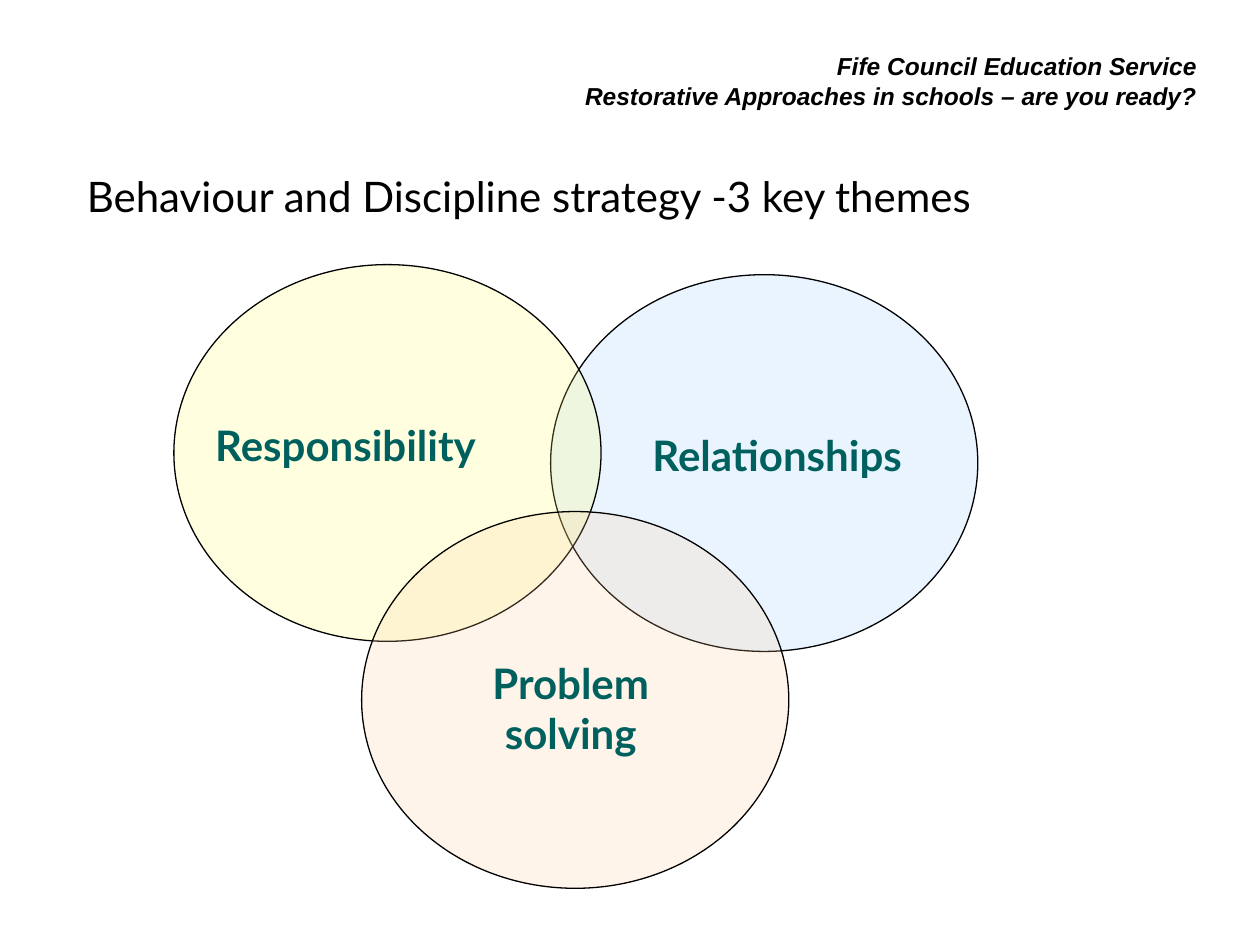
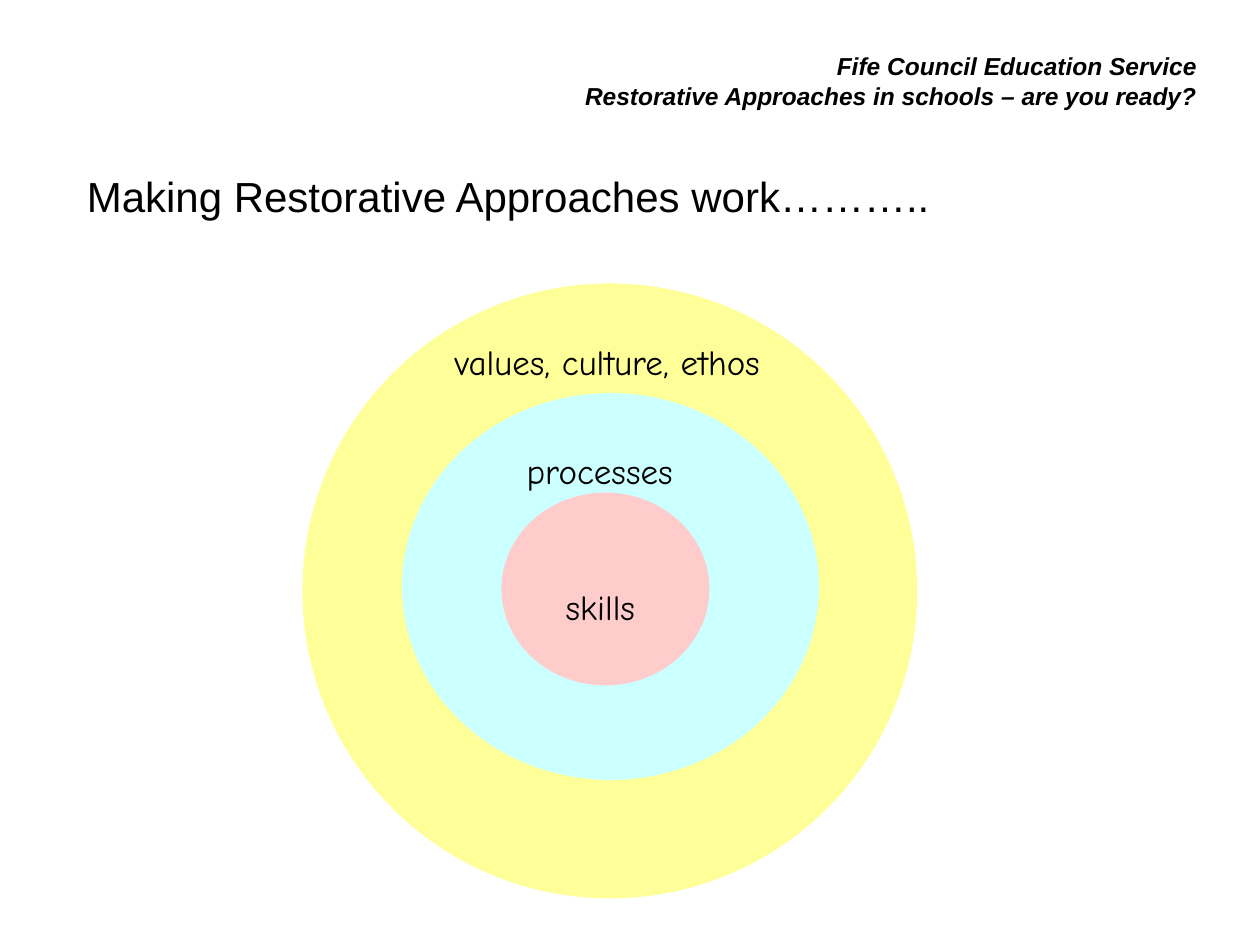
from lxml import etree
from pptx import Presentation
from pptx.dml.color import RGBColor
from pptx.enum.shapes import MSO_SHAPE as Shape
from pptx.enum.text import MSO_ANCHOR as Anchor, PP_ALIGN as Align
from pptx.oxml.ns import qn
from pptx.util import Inches, Pt

BLACK = RGBColor(0x00, 0x00, 0x00)
TEAL = RGBColor(0x00, 0x60, 0x5E)
SKY = RGBColor(0x99, 0xCC, 0xFF)
LEMON = RGBColor(0xFF, 0xFF, 0x66)
PEACH = RGBColor(0xFF, 0xCC, 0x99)
PALE_YELLOW = RGBColor(0xFF, 0xFF, 0x99)
PALE_CYAN = RGBColor(0xCC, 0xFF, 0xFF)
PALE_PINK = RGBColor(0xFF, 0xCC, 0xCC)

HEADER = ("Fife Council Education Service",
          "Restorative Approaches in schools – are you ready?")
THEME_SIZE = (3.39, 2.99)


def outline_text(run, color, width):
    """Draw a line around the letters of a run."""
    line = etree.Element(qn("a:ln"), w=str(Pt(width)))
    fill = etree.SubElement(line, qn("a:solidFill"))
    etree.SubElement(fill, qn("a:srgbClr"), val=str(color))
    run.font._element.insert(0, line)


def write(frame, lines, *, font="Arial", size=24, color=BLACK, bold=False,
          italic=False, align=Align.LEFT, spacing=None, outline=None):
    """Fill a text frame with one paragraph for each line."""
    for index, line in enumerate(lines):
        paragraph = frame.add_paragraph() if index else frame.paragraphs[0]
        paragraph.alignment = align
        if spacing:
            paragraph.line_spacing = spacing
        run = paragraph.add_run()
        run.text = line
        run.font.name = font
        run.font.size = Pt(size)
        run.font.bold = bold
        run.font.italic = italic
        run.font.color.rgb = color
        if outline:
            outline_text(run, color, outline)


class Deck:
    """Holds the presentation, its shared style and the current slide."""

    def __init__(self):
        self.presentation = Presentation()
        self.presentation.slide_width = Inches(10)
        self.presentation.slide_height = Inches(7.5)
        self.slide = None

    def new_slide(self, title, title_font):
        blank = self.presentation.slide_layouts[6]
        self.slide = self.presentation.slides.add_slide(blank)
        self.text((3.5, 0.36, 6.1, 0.57), *HEADER, size=14, bold=True,
                  italic=True, align=Align.RIGHT)
        self.text((0.59, 1.38, 9.05, 0.79), title, font=title_font,
                  spacing=0.8)

    def text(self, place, *lines, wrap=True, margin=0.05, **style):
        box = self.slide.shapes.add_textbox(*map(Inches, place))
        frame = box.text_frame
        frame.word_wrap = wrap
        frame.vertical_anchor = Anchor.TOP
        frame.margin_top = frame.margin_bottom = Inches(margin)
        write(frame, lines, **style)

    def ellipse(self, place, color, opacity=None, border=None):
        """Add an ellipse; opacity is in percent, border in points."""
        oval = self.slide.shapes.add_shape(Shape.OVAL, *map(Inches, place))
        oval.shadow.inherit = False
        oval.fill.solid()
        oval.fill.fore_color.rgb = color
        if opacity:
            tint = oval._element.spPr.find(qn("a:solidFill"))[0]
            etree.SubElement(tint, qn("a:alpha"), val=str(opacity * 1000))
        if border:
            oval.line.color.rgb = BLACK
            oval.line.width = Pt(border)
        else:
            oval.line.fill.background()

    def theme(self, name, corner, color, label_place, align=Align.LEFT):
        """Add one see-through circle of the Venn diagram and its label."""
        self.ellipse((*corner, *THEME_SIZE), color, opacity=20, border=0.75)
        self.text(label_place, name, font="Lato", color=TEAL, bold=True,
                  align=align)

    def ring_label(self, name, place, margin=0.05):
        self.text(place, name, wrap=False, margin=margin, font="Comic Neue",
                  size=20, align=Align.CENTER, outline=0.75)


def add_key_themes(deck):
    deck.new_slide("Behaviour and Discipline strategy -3 key themes", "Lato")
    deck.theme("Relationships", (4.37, 2.18), SKY, (5.08, 3.36, 2.6, 0.5))
    deck.theme("Responsibility", (1.38, 2.1), LEMON, (1.61, 3.28, 2.6, 0.5))
    deck.theme("Problem solving", (2.87, 4.06), PEACH,
               (3.28, 5.17, 2.5, 0.9), Align.CENTER)


def add_restorative_rings(deck):
    deck.new_slide("Making Restorative Approaches work………..", "Arial")
    rings = (
        ((2.4, 2.25, 4.88, 4.88), PALE_YELLOW),
        ((3.19, 3.12, 3.31, 3.07), PALE_CYAN),
        ((3.98, 3.91, 1.65, 1.53), PALE_PINK),
    )
    for place, color in rings:
        deck.ellipse(place, color)
    deck.ring_label("values, culture, ethos", (3.43, 2.65, 2.78, 1.34))
    deck.ring_label("processes", (4.01, 3.52, 1.5, 0.39))
    deck.ring_label("skills", (4.37, 4.62, 0.79, 0.08), margin=0.03)


def main():
    deck = Deck()
    add_key_themes(deck)
    add_restorative_rings(deck)
    deck.presentation.save("out.pptx")


if __name__ == "__main__":
    main()
